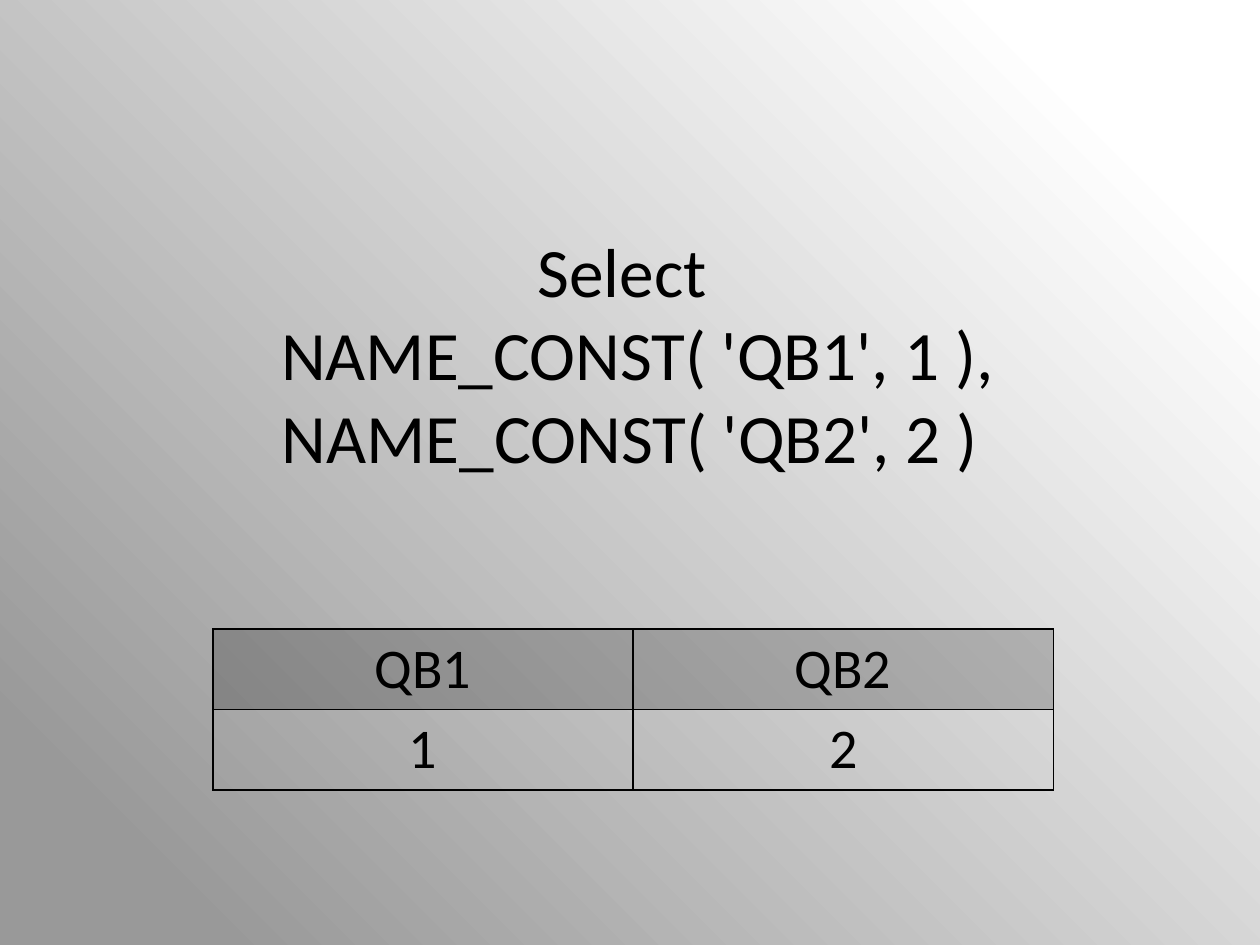
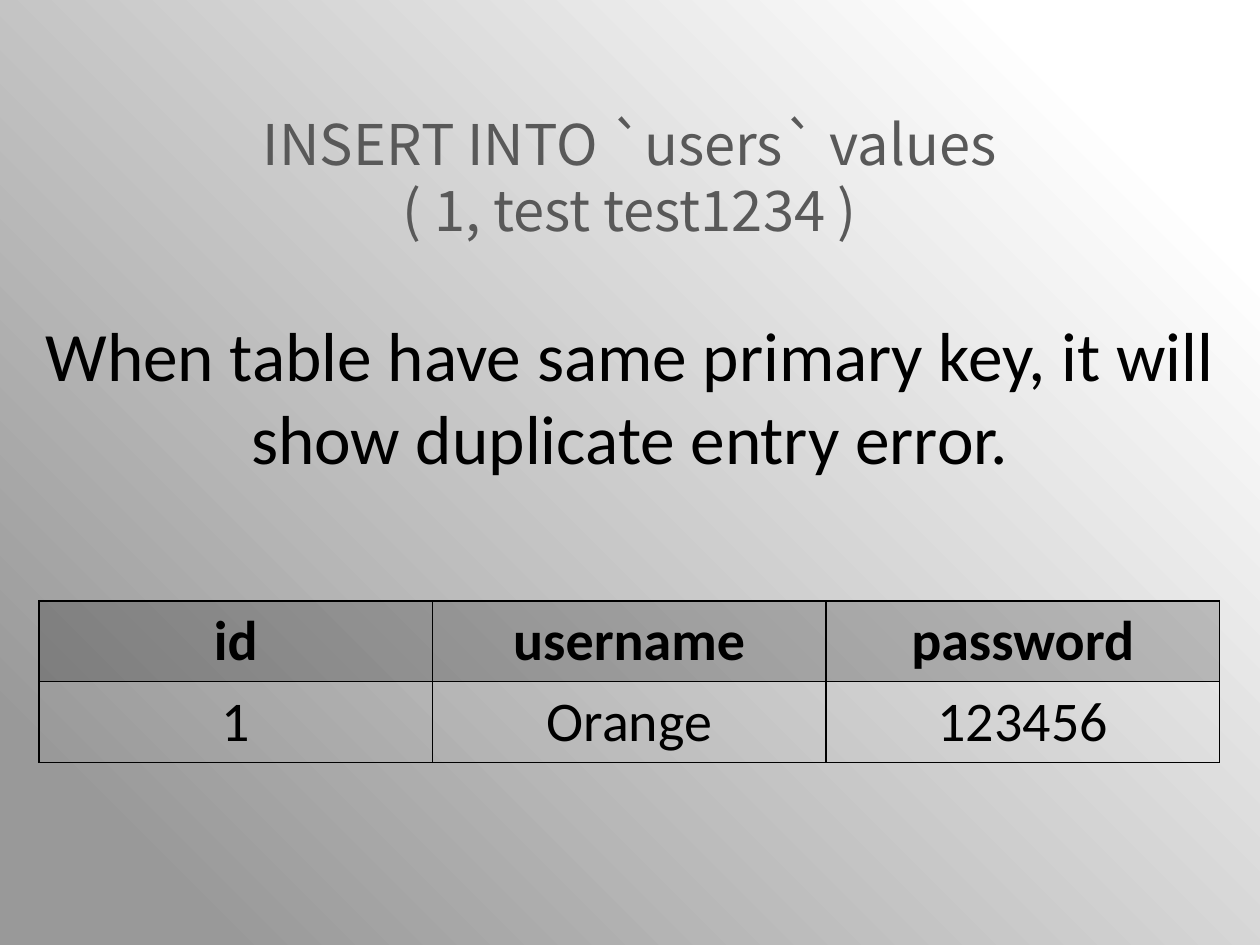
"""Build two slides on SQL duplicate-name queries, each with a title and a result table."""
from lxml.etree import SubElement
from pptx import Presentation
from pptx.dml.color import RGBColor
from pptx.enum.text import MSO_ANCHOR, PP_ALIGN
from pptx.oxml.ns import qn
from pptx.util import Inches, Pt

BLACK, GREY, WHITE, DARK = "000000", "999999", "FFFFFF", "595959"
TITLE_FONT, SUBTITLE_FONT = "Calibri", "Noto Sans CJK JP"
HEADER_OPACITY = 20
ROW_HEIGHT = 0.64
BORDER_SIDES = ("lnL", "lnR", "lnT", "lnB")

SLIDES = [
    {
        "title": "Select \v NAME_CONST( 'QB1', 1 ),\vNAME_CONST( 'QB2', 2 )",
        "title_bottom_inset": 0.72,
        "subtitle": [],
        "table": [("QB1", "QB2"), ("1", "2")],
        "table_at": (1.69, 4.99, 6.67),
        "bold_header": False,
    },
    {
        "title": "When table have same primary key, it will\vshow duplicate entry error.",
        "title_bottom_inset": 0.05,
        "subtitle": ["INSERT INTO `users` values", "( 1, test test1234 )"],
        "table": [("id", "username", "password"), ("1", "Orange", "123456")],
        "table_at": (0.31, 4.77, 9.37),
        "bold_header": True,
    },
]


def color(value):
    return RGBColor.from_string(value)


def style(para, font, size, value, bold=False):
    para.alignment = PP_ALIGN.CENTER
    para.font.name = font
    para.font.size = Pt(size)
    para.font.bold = bold
    para.font.color.rgb = color(value)


def paint_background(master):
    fill = master.background.fill
    fill.gradient()
    fill.gradient_angle = 45
    for stop, position, value in zip(fill.gradient_stops, (0.1, 0.88), (GREY, WHITE)):
        stop.position = position
        stop.color.rgb = color(value)


def add_text(page, top, height, lines, font, size, value):
    box = page.shapes.add_textbox(0, Inches(top), Inches(10), Inches(height))
    frame = box.text_frame
    frame.word_wrap = True
    for index, line in enumerate(lines):
        para = frame.paragraphs[0] if index == 0 else frame.add_paragraph()
        para.text = line
        style(para, font, size, value)
    return frame


def add_title(page, text, bottom_inset):
    frame = add_text(page, 2.33, 1.61, [text], TITLE_FONT, 39.6, BLACK)
    frame.vertical_anchor = MSO_ANCHOR.MIDDLE
    frame.margin_bottom = Inches(bottom_inset)


def add_subtitle(page, lines):
    frame = add_text(page, 0.89, 1.92, lines, SUBTITLE_FONT, 32, DARK)
    for index, para in enumerate(frame.paragraphs):
        para.line_spacing = 0.88
        para.space_before = Pt(4 if index else 0)


def add_borders(cell):
    properties = cell._tc.get_or_add_tcPr()
    for side in BORDER_SIDES:
        line = SubElement(properties, qn(f"a:{side}"), w=str(Pt(1)))
        SubElement(SubElement(line, qn("a:solidFill")), qn("a:srgbClr"), val=BLACK)


def fill_cell(cell, is_header):
    if not is_header:
        cell.fill.background()
        return
    cell.fill.solid()
    cell.fill.fore_color.rgb = color(BLACK)
    shade = cell._tc.tcPr.find(qn("a:solidFill")).find(qn("a:srgbClr"))
    SubElement(shade, qn("a:alpha"), val=str(HEADER_OPACITY * 1000))


def add_result_table(page, rows, place, bold_header):
    left, top, width = map(Inches, place)
    height = Inches(ROW_HEIGHT * len(rows))
    table = page.shapes.add_table(len(rows), len(rows[0]), left, top, width, height).table
    for row_index, row in enumerate(rows):
        is_header = row_index == 0
        for column_index, text in enumerate(row):
            cell = table.cell(row_index, column_index)
            cell.text = text
            style(cell.text_frame.paragraphs[0], TITLE_FONT, 32, BLACK, is_header and bold_header)
            add_borders(cell)
            fill_cell(cell, is_header)


def main():
    deck = Presentation()
    deck.slide_width, deck.slide_height = Inches(10), Inches(7.5)
    paint_background(deck.slide_master)
    for content in SLIDES:
        page = deck.slides.add_slide(deck.slide_layouts[6])
        add_title(page, content["title"], content["title_bottom_inset"])
        if content["subtitle"]:
            add_subtitle(page, content["subtitle"])
        add_result_table(page, content["table"], content["table_at"], content["bold_header"])
    deck.save("out.pptx")


if __name__ == "__main__":
    main()
